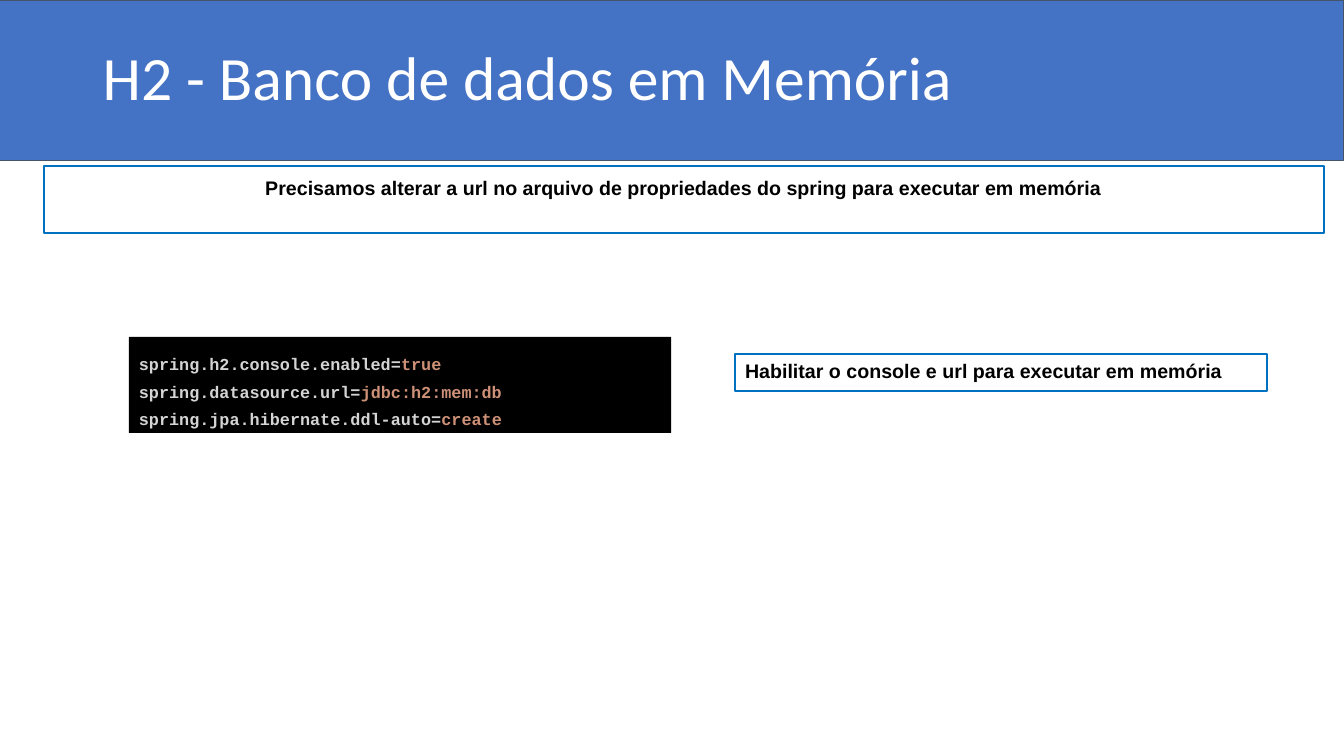
from pptx import Presentation
from pptx import util as u
from pptx.dml.color import RGBColor
from pptx.enum import shapes, text

WHITE = RGBColor(0xFF, 0xFF, 0xFF)
BLACK = RGBColor(0x00, 0x00, 0x00)
BAND_BLUE = RGBColor(0x44, 0x72, 0xC4)
SLATE = RGBColor(0x44, 0x54, 0x6A)
BORDER_BLUE = RGBColor(0x00, 0x70, 0xC0)
CODE_KEY = RGBColor(0xD4, 0xD4, 0xD4)
CODE_VALUE = RGBColor(0xCE, 0x91, 0x78)


def add_text(paragraph, content, font="Arial", size=14, color=BLACK, bold=True):
    run = paragraph.add_run()
    run.text = content
    run.font.name = font
    run.font.size = u.Pt(size)
    run.font.color.rgb = color
    run.font.bold = bold


class SlideBuilder:
    """Places elements by percentages of the slide's width and height."""

    def __init__(self, deck):
        self.deck = deck
        self.slide = deck.slides.add_slide(deck.slide_layouts[6])

    def place(self, left, top, width, height):
        across, down = self.deck.slide_width / 100, self.deck.slide_height / 100
        return [round(n) for n in (left * across, top * down, width * across, height * down)]

    def box(self, area, fill=None, line=None, weight=1.5):
        shape = self.slide.shapes.add_shape(shapes.MSO_SHAPE.RECTANGLE, *self.place(*area))
        shape.shadow.inherit = False
        if fill is None:
            shape.fill.background()
        else:
            shape.fill.solid()
            shape.fill.fore_color.rgb = fill
        if line is None:
            shape.line.fill.background()
        else:
            shape.line.color.rgb = line
            shape.line.width = u.Pt(weight)
        return shape

    def frame(self, shape, inset=0.1, anchor=text.MSO_ANCHOR.TOP):
        frame = shape.text_frame
        frame.word_wrap = True
        frame.vertical_anchor = anchor
        frame.margin_left = frame.margin_right = u.Inches(0.1)
        frame.margin_top = frame.margin_bottom = u.Inches(inset)
        return frame

    def title(self, area, content):
        heading = self.slide.shapes.add_textbox(*self.place(*area))
        line = self.frame(heading, 0.05, text.MSO_ANCHOR.MIDDLE).paragraphs[0]
        line.line_spacing = 0.9
        add_text(line, content, font="Calibri", size=44, color=WHITE, bold=False)

    def message(self, area, content, align, inset=0.1):
        line = self.frame(self.box(area, line=BORDER_BLUE), inset).paragraphs[0]
        line.alignment = align
        add_text(line, content)

    def properties(self, area, settings):
        frame = self.frame(self.box(area, fill=BLACK))
        frame.auto_size = text.MSO_AUTO_SIZE.SHAPE_TO_FIT_TEXT
        for i, (key, value) in enumerate(settings.items()):
            line = frame.add_paragraph() if i else frame.paragraphs[0]
            line.alignment = text.PP_ALIGN.LEFT
            line.line_spacing = 1.36
            for part, color in ((f"{key}=", CODE_KEY), (value, CODE_VALUE)):
                add_text(line, part, font="Courier New", size=12, color=color)


def main():
    deck = Presentation()
    deck.slide_width, deck.slide_height = u.Inches(13.33), u.Inches(7.5)
    page = SlideBuilder(deck)

    # Title band
    page.box((0, 0, 100, 21.2), fill=BAND_BLUE, line=SLATE, weight=0.75)
    page.title((6.9, 0.95, 86.25, 19.3), "H2 - Banco de dados em Memória")

    # Spring properties
    page.properties((9.6, 44.55, 40.35, 12.7), {
        "spring.h2.console.enabled": "true",
        "spring.datasource.url": "jdbc:h2:mem:db",
        "spring.jpa.hibernate.ddl-auto": "create",
    })

    # Explanations
    page.message(
        (3.25, 21.9, 95.25, 8.95),
        "Precisamos alterar a url no arquivo de propriedades do spring para executar em memória",
        text.PP_ALIGN.CENTER)
    page.message(
        (54.7, 46.8, 39.6, 4.95),
        "Habilitar o console e url para executar em memória",
        text.PP_ALIGN.JUSTIFY, inset=0.05)

    deck.save("out.pptx")


if __name__ == "__main__":
    main()
